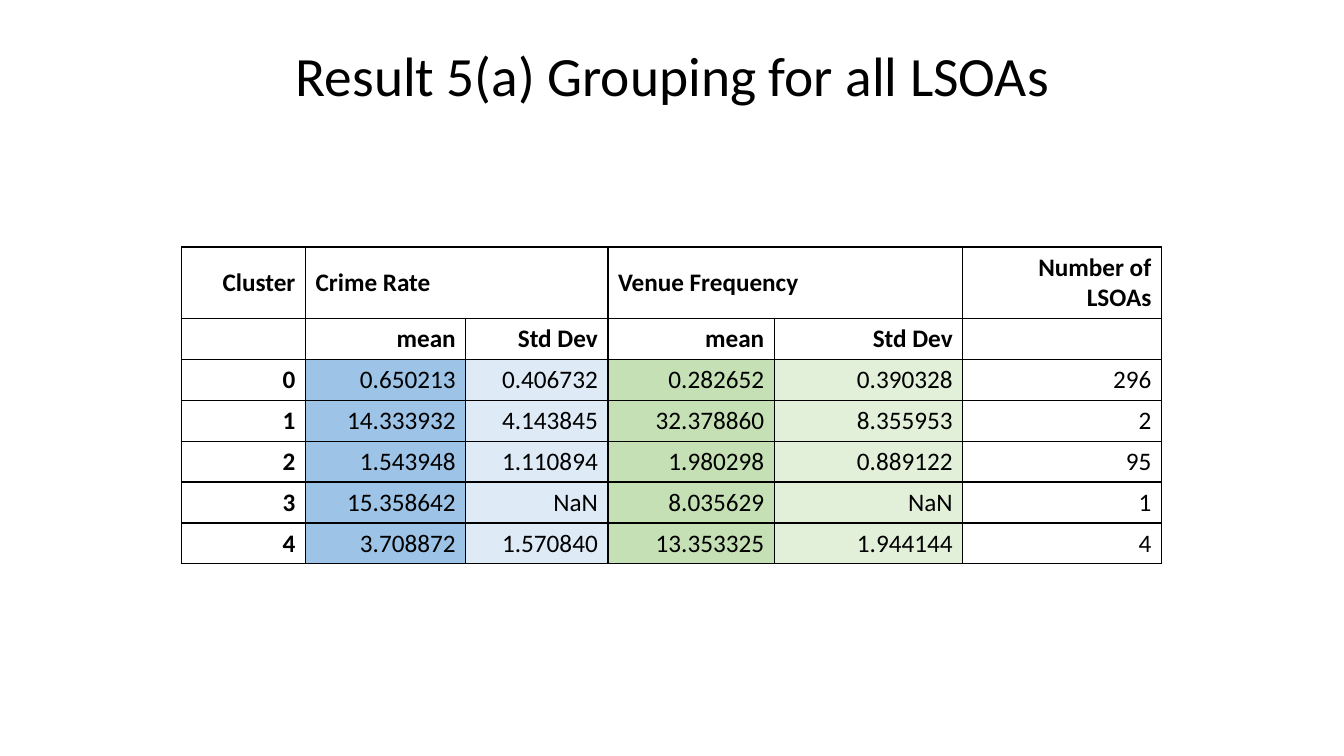
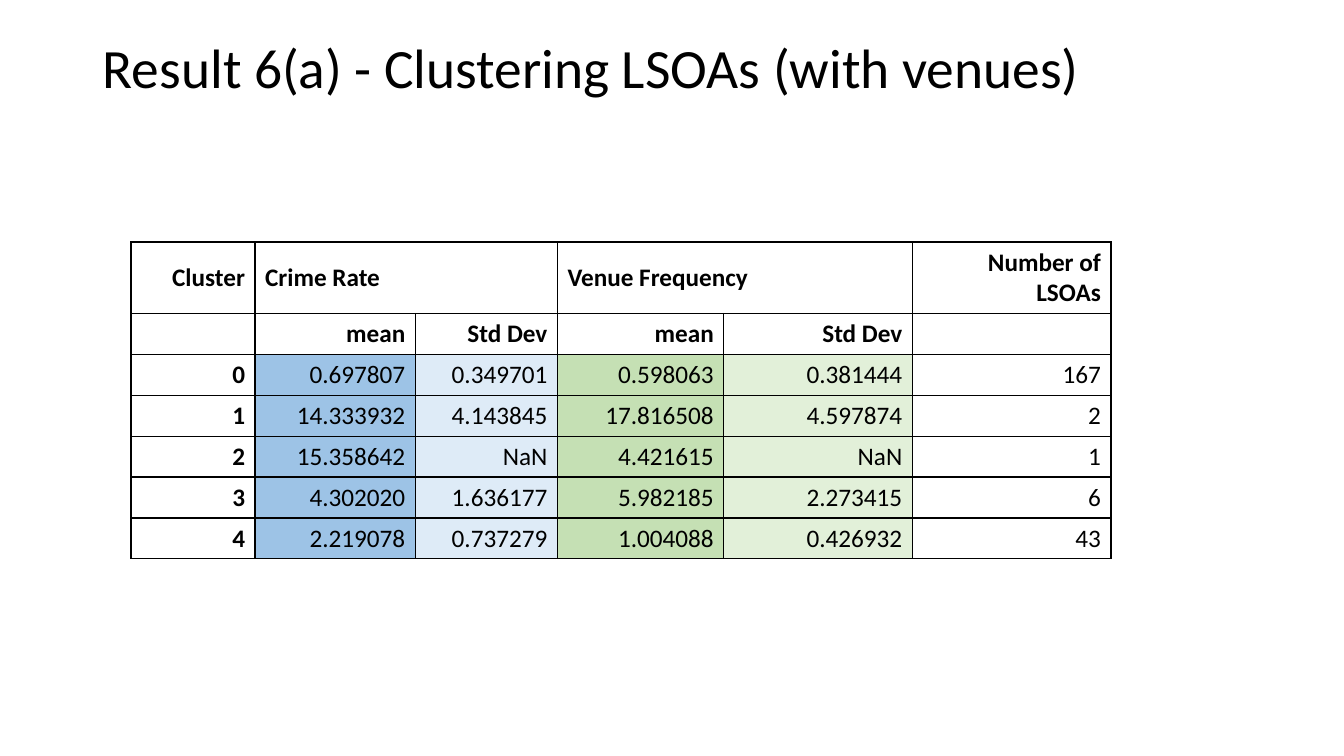
from lxml import etree
from pptx import Presentation
from pptx.dml.color import RGBColor
from pptx.enum.text import MSO_ANCHOR, MSO_AUTO_SIZE, PP_ALIGN
from pptx.oxml.ns import qn
from pptx.util import Pt

PX = 9144
TITLE_ONLY = 5
LEFT, CENTER, RIGHT = PP_ALIGN.LEFT, PP_ALIGN.CENTER, PP_ALIGN.RIGHT
MIDDLE = MSO_ANCHOR.MIDDLE
NO_AUTOFIT = MSO_AUTO_SIZE.NONE

BLACK = RGBColor(0x00, 0x00, 0x00)
CRIME_MEAN = RGBColor(0x9D, 0xC3, 0xE6)
CRIME_DEV = RGBColor(0xDE, 0xEB, 0xF7)
VENUE_MEAN = RGBColor(0xC5, 0xE0, 0xB4)
VENUE_DEV = RGBColor(0xE2, 0xF0, 0xD9)

TITLE_FONT = {"name": "Calibri", "size": Pt(39.6), "bold": False}
HEADING_FONT = {"name": "Calibri", "size": Pt(18), "bold": True}
VALUE_FONT = {**HEADING_FONT, "bold": False}

COLUMN_WIDTHS = [123, 159, 141, 165, 187, 197]
ROW_HEIGHTS = [71] + [40] * 6
COLUMN_FILLS = [None, CRIME_MEAN, CRIME_DEV, VENUE_MEAN, VENUE_DEV, None]
HEADINGS = [
    ["Cluster", "Crime Rate", "", "Venue Frequency", "", "Number of LSOAs"],
    ["", "mean", "Std Dev", "mean", "Std Dev", ""],
]
GROUP_COLUMNS = (1, 3)

RESULTS = [
    {
        "title": "Result 5(a) Grouping for all LSOAs",
        "title_box": (92, 40, 1150, 76),
        "align": CENTER,
        "table_at": (180, 245),
        "clusters": [
            ["0", "0.650213", "0.406732", "0.282652", "0.390328", "296"],
            ["1", "14.333932", "4.143845", "32.378860", "8.355953", "2"],
            ["2", "1.543948", "1.110894", "1.980298", "0.889122", "95"],
            ["3", "15.358642", "NaN", "8.035629", "NaN", "1"],
            ["4", "3.708872", "1.570840", "13.353325", "1.944144", "4"],
        ],
    },
    {
        "title": "Result 6(a) - Clustering LSOAs (with venues)",
        "title_box": (92, 40, 1150, 60),
        "align": LEFT,
        "table_at": (130, 240),
        "clusters": [
            ["0", "0.697807", "0.349701", "0.598063", "0.381444", "167"],
            ["1", "14.333932", "4.143845", "17.816508", "4.597874", "2"],
            ["2", "15.358642", "NaN", "4.421615", "NaN", "1"],
            ["3", "4.302020", "1.636177", "5.982185", "2.273415", "6"],
            ["4", "2.219078", "0.737279", "1.004088", "0.426932", "43"],
        ],
    },
]


def px(*lengths):
    """Turn px lengths into EMU."""
    return [length * PX for length in lengths]


def set_all(target, values):
    """Set each named attribute on the target."""
    for name, value in values.items():
        setattr(target, name, value)


def write(paragraph, text, font, align):
    """Put one formatted black run in a paragraph."""
    paragraph.alignment = align
    run = paragraph.add_run()
    run.text = text
    set_all(run.font, font)
    run.font.color.rgb = BLACK


def add_title(slide, text, box, align):
    """Place and format the title placeholder."""
    title = slide.shapes.title
    set_all(title, dict(zip(("left", "top", "width", "height"), px(*box))))
    frame = title.text_frame
    set_all(frame, {"word_wrap": True, "auto_size": NO_AUTOFIT,
                    "vertical_anchor": MIDDLE})
    paragraph = frame.paragraphs[0]
    paragraph.line_spacing = 0.9
    write(paragraph, text, TITLE_FONT, align)


def add_borders(cell):
    """Draw a thin black line on the four sides of a cell."""
    properties = cell._tc.get_or_add_tcPr()
    for side in ("a:lnL", "a:lnR", "a:lnT", "a:lnB"):
        line = etree.SubElement(properties, qn(side), w=str(Pt(1)))
        fill = etree.SubElement(line, qn("a:solidFill"))
        etree.SubElement(fill, qn("a:srgbClr"), val=str(BLACK))


def format_cell(cell, text, font, align, color):
    """Give a cell its borders, fill and text."""
    add_borders(cell)
    if color is None:
        cell.fill.background()
    else:
        cell.fill.solid()
        cell.fill.fore_color.rgb = color
    cell.vertical_anchor = MIDDLE
    if text:
        write(cell.text_frame.paragraphs[0], text, font, align)


def add_cluster_table(slide, position, clusters):
    """Build the table of cluster statistics at a position."""
    rows = HEADINGS + clusters
    size = sum(COLUMN_WIDTHS), sum(ROW_HEIGHTS)
    table = slide.shapes.add_table(
        len(rows), len(COLUMN_WIDTHS), *px(*position, *size)).table
    set_all(table, {"first_row": False, "horz_banding": False})
    for column, width in zip(table.columns, px(*COLUMN_WIDTHS)):
        column.width = width
    for row, height in zip(table.rows, px(*ROW_HEIGHTS)):
        row.height = height
    for first in GROUP_COLUMNS:
        table.cell(0, first).merge(table.cell(0, first + 1))
    for r, texts in enumerate(rows):
        heading = r < len(HEADINGS)
        for c, text in enumerate(texts):
            font = HEADING_FONT if heading or c == 0 else VALUE_FONT
            align = LEFT if r == 0 and c in GROUP_COLUMNS else RIGHT
            color = None if heading else COLUMN_FILLS[c]
            format_cell(table.cell(r, c), text, font, align, color)


def add_result_slide(deck, result):
    """Add one slide with a title and its cluster table."""
    slide = deck.slides.add_slide(deck.slide_layouts[TITLE_ONLY])
    add_title(slide, result["title"], result["title_box"], result["align"])
    add_cluster_table(slide, result["table_at"], result["clusters"])


def main():
    """Build and save the deck."""
    deck = Presentation()
    deck.slide_width, deck.slide_height = px(1333, 750)
    for result in RESULTS:
        add_result_slide(deck, result)
    deck.save("out.pptx")


if __name__ == "__main__":
    main()
